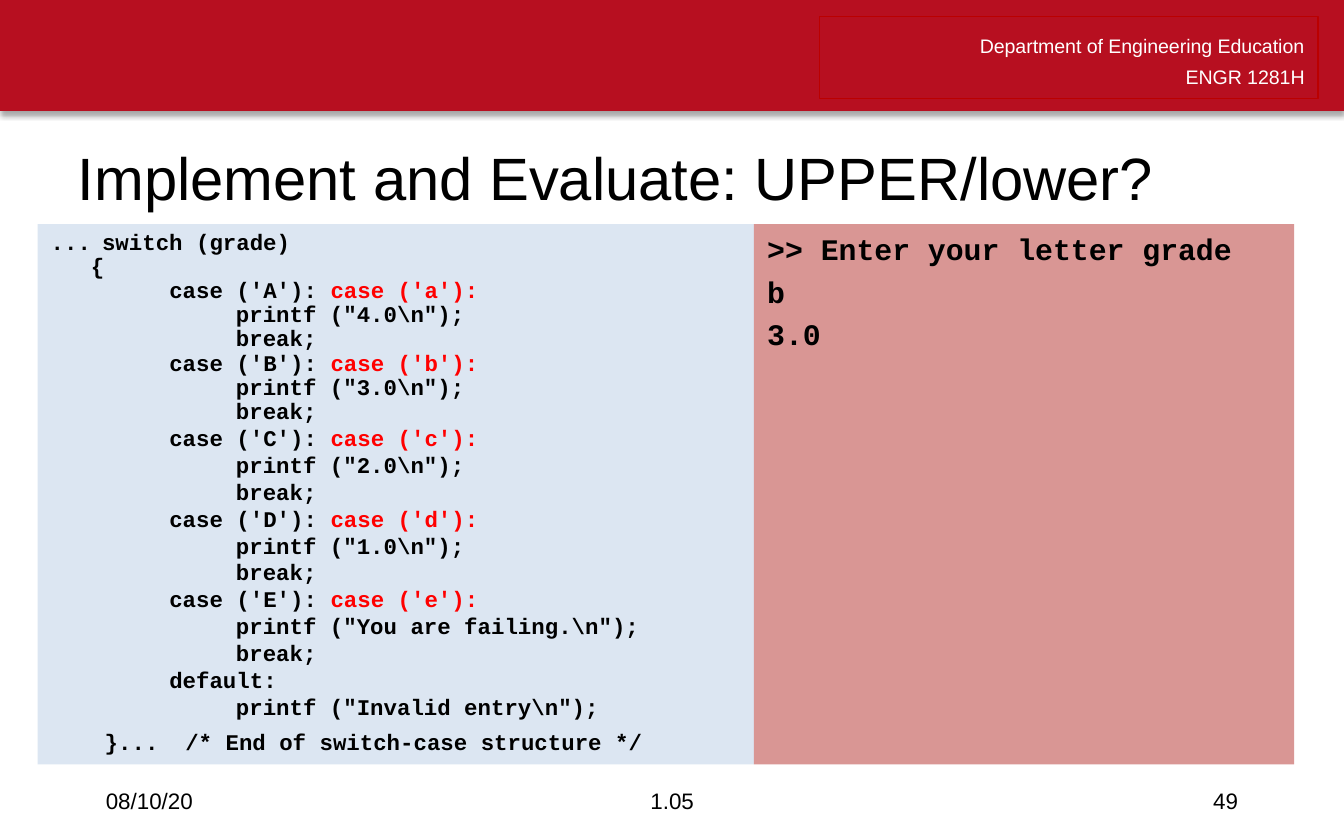
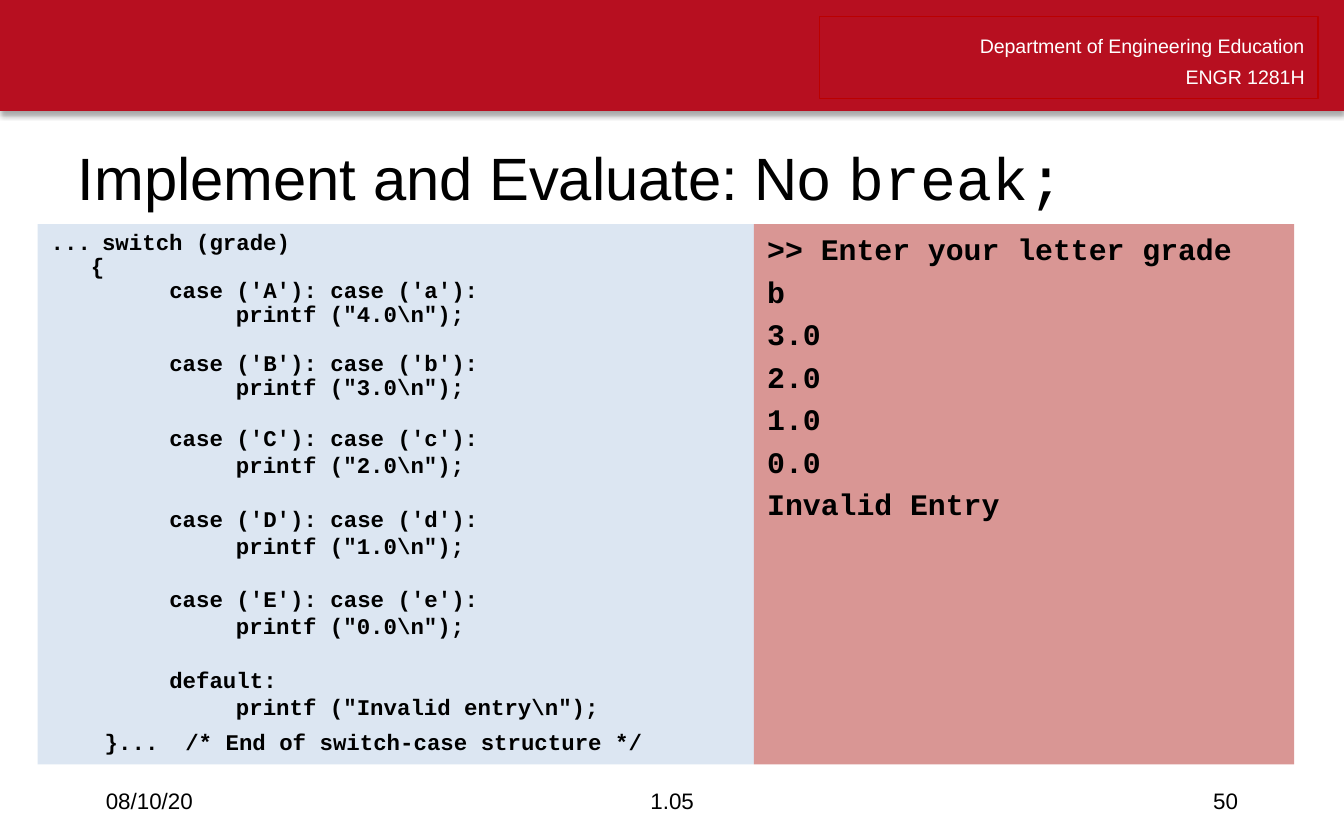
import pptx
import pptx.util
import pptx.dml.color
import pptx.enum.shapes
import pptx.enum.text
import pptx.oxml
import pptx.oxml.ns

Cm, Pt = pptx.util.Cm, pptx.util.Pt
RGB = pptx.dml.color.RGBColor.from_string
ALIGN = pptx.enum.text.PP_ALIGN
ANCHOR = pptx.enum.text.MSO_ANCHOR


class Theme:
    band, band_line = RGB("B70F20"), RGB("BB0000")
    code_fill, output_fill = RGB("DCE6F2"), RGB("D99694")
    text, light, accent = RGB("000000"), RGB("FFFFFF"), RGB("FF0000")
    sans, mono = "Arial", "Courier New"
    title_size, output_size = Pt(32), Pt(16)
    code_size, footer_size, header_size = Pt(12), Pt(12), Pt(10.5)


def add_box(slide, left, top, width, height, fill=None, anchor=ANCHOR.MIDDLE):
    """Add a rectangle, plain or filled, and return it."""
    shape = slide.shapes.add_shape(
        pptx.enum.shapes.MSO_SHAPE.RECTANGLE, Cm(left), Cm(top), Cm(width), Cm(height))
    shape.shadow.inherit = False
    shape.line.fill.background()
    if fill is None:
        shape.fill.background()
    else:
        shape.fill.solid()
        shape.fill.fore_color.rgb = fill
    shape.text_frame.word_wrap = True
    shape.text_frame.vertical_anchor = anchor
    return shape


def add_line(shape, runs, size, font=Theme.sans, color=Theme.text, bold=False,
             align=ALIGN.LEFT, left=0, hanging=0):
    """Write one paragraph from (text, run colour or None) pairs and return it."""
    frame = shape.text_frame
    paragraph = frame.paragraphs[0]
    if paragraph.runs:
        paragraph = frame.add_paragraph()
    paragraph.alignment = align
    paragraph.font.size, paragraph.font.name = size, font
    paragraph.font.bold, paragraph.font.color.rgb = bold, color
    properties = paragraph._p.get_or_add_pPr()
    properties.set("marL", str(Cm(left)))
    properties.set("indent", str(-Cm(hanging)))
    for text, run_color in runs:
        run = paragraph.add_run()
        run.text = text
        if run_color is not None:
            run.font.color.rgb = run_color
    return paragraph


SHADOW = (
    f'<a:effectLst {pptx.oxml.ns.nsdecls("a")}>'
    f'<a:outerShdw blurRad="{Pt(3.1)}" dist="{Pt(1.8)}" dir="5400000" rotWithShape="0">'
    '<a:srgbClr val="000000"><a:alpha val="35000"/></a:srgbClr>'
    '</a:outerShdw></a:effectLst>')

HEADER = ("Department of Engineering Education", "ENGR 1281H")
PROMPT = (">> Enter your letter grade", "b")
GRADES = {"A": "4.0", "B": "3.0", "C": "2.0", "D": "1.0"}
TIGHT_GRADES = "AB"
BRACE_OPEN, BRACE_CLOSE, CASE, STATEMENT = 0.76, 1.02, 2.24, 3.5  # code indents in cm

lessons = [
    dict(number="49", title="UPPER/lower?", title_font=Theme.sans, lead="",
         failing="You are failing.", breaks=True, lower_color=Theme.accent,
         output=("3.0",)),
    dict(number="50", title="break;", title_font=Theme.mono, lead="No ",
         failing="0.0", breaks=False, lower_color=Theme.text,
         output=("3.0", "2.0", "1.0", "0.0", "Invalid Entry")),
]

presentation = pptx.Presentation()
presentation.slide_width, presentation.slide_height = Cm(25.4), Cm(15.88)

for lesson in lessons:
    slide = presentation.slides.add_slide(presentation.slide_layouts[6])

    # Header band
    band = add_box(slide, 0, 0, 25.4, 2.1, Theme.band)
    properties = band._element.spPr
    properties.remove(properties.find(pptx.oxml.ns.qn("a:effectLst")))
    properties.append(pptx.oxml.parse_xml(SHADOW))
    header = add_box(slide, 15.49, 0.31, 9.42, 1.55)
    header.line.color.rgb, header.line.width = Theme.band_line, Pt(0.75)
    for text in HEADER:
        paragraph = add_line(header, [(text, None)], Theme.header_size,
                             color=Theme.light, align=ALIGN.RIGHT)
        paragraph.line_spacing = Pt(16.4)

    # Title
    title = add_box(slide, 1.22, 2.44, 23.04, 1.8)
    paragraph = add_line(title, [("Implement and Evaluate: " + lesson["lead"], None),
                                 (lesson["title"], None)], Theme.title_size)
    paragraph.runs[1].font.name = lesson["title_font"]

    # Code panel: (runs, indent, line spacing, space before)
    lines = [([("...\tswitch (grade)", None)], 0.97, 0.9, 0),
             ([("{", None)], BRACE_OPEN, 0.9, 0)]
    gap = 0
    for grade, points in {**GRADES, "E": lesson["failing"]}.items():
        spacing = 0.9 if grade in TIGHT_GRADES else 1.0
        lines.append(([(f"case ('{grade}'): ", None),
                       (f"case ('{grade.lower()}'):", lesson["lower_color"])],
                      CASE, spacing, gap))
        lines.append(([(f'printf ("{points}\\n");', None)], STATEMENT, spacing, 0))
        if lesson["breaks"]:
            lines.append(([("break;", None)], STATEMENT, spacing, 0))
        else:
            gap = 14.4 * spacing
    lines += [([("default:", None)], CASE, 1.0, gap),
              ([('printf ("Invalid entry\\n");', None)], STATEMENT, 1.0, 0),
              ([("}...  /* End of switch-case structure */", None)], BRACE_CLOSE, 1.0, 4.6)]
    code = add_box(slide, 0.71, 4.24, 13.54, 10.21, Theme.code_fill, ANCHOR.TOP)
    for runs, indent, spacing, before in lines:
        hanging = indent if "\t" in runs[0][0] else 0
        paragraph = add_line(code, runs, Theme.code_size, Theme.mono, bold=True,
                             left=indent, hanging=hanging)
        paragraph.line_spacing, paragraph.space_before = spacing, Pt(before)

    # Output panel
    output = add_box(slide, 14.25, 4.24, 10.21, 10.21, Theme.output_fill, ANCHOR.TOP)
    for text in PROMPT + lesson["output"]:
        paragraph = add_line(output, [(text, None)], Theme.output_size, Theme.mono,
                             bold=True, left=0.97, hanging=0.97)
        paragraph.space_before = Pt(3.6)

    # Footer
    for text, left, width, align in (("08/10/20", 1.75, 5.72, ALIGN.LEFT),
                                     ("1.05", 8.41, 8.59, ALIGN.CENTER),
                                     (lesson["number"], 17.93, 5.72, ALIGN.RIGHT)):
        footer = add_box(slide, left, 14.71, width, 0.84)
        add_line(footer, [(text, None)], Theme.footer_size, align=align)

presentation.save("out.pptx")
